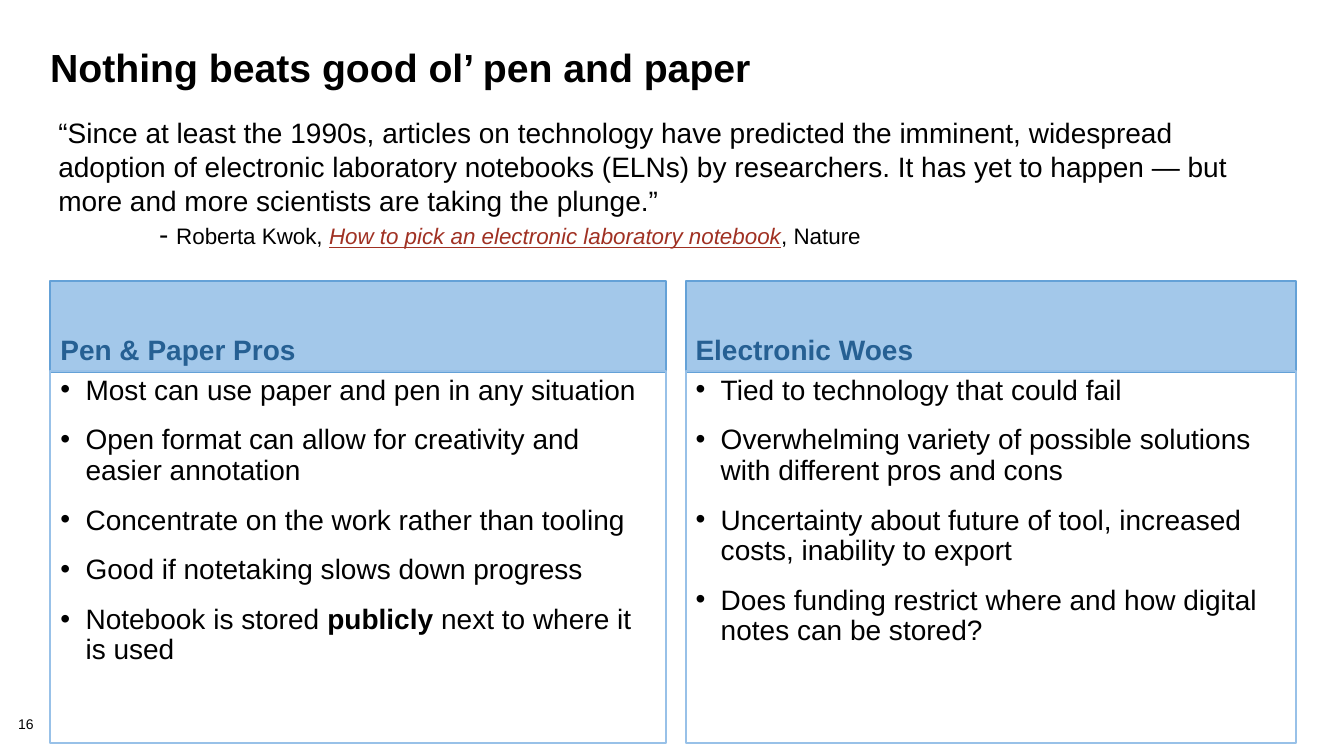
from lxml import etree
from pptx import Presentation
from pptx.dml.color import RGBColor
from pptx.enum import shapes, text
from pptx.oxml.ns import qn
from pptx.util import Inches, Pt

COLORS = {
    "text": "000000",
    "heading": "266093",
    "heading_fill": "A3C8EA",
    "heading_line": "64A1D7",
    "list_line": "98C1E8",
    "cited": "A03123",
}
QUOTE = (
    "“Since at least the 1990s, articles on technology have predicted the imminent, "
    "widespread adoption of electronic laboratory notebooks (ELNs) by researchers. "
    "It has yet to happen — but more and more scientists are taking the plunge.”"
)
# Each column: left, width, heading, bullets; a bullet is a list of (text, format) runs.
COLUMNS = [
    (0.5, 6.11, "Pen & Paper Pros", [
        [("Most can use paper and pen in any situation", {})],
        [("Open format can allow for creativity and easier annotation", {})],
        [("Concentrate on the work rather than tooling", {})],
        [("Good if notetaking slows down progress", {})],
        [("Notebook is stored ", {}), ("publicly", {"bold": True}),
         (" next to where it is used", {})],
    ]),
    (6.8, 6.05, "Electronic Woes", [
        [("Tied to technology that could fail", {})],
        [("Overwhelming variety of possible solutions with different pros and cons", {})],
        [("Uncertainty about future of tool, increased costs, inability to export", {})],
        [("Does funding restrict where and how digital notes can be stored?", {})],
    ]),
]


def add_run(p, content, size=20, color="text", bold=False, italic=False, underline=False):
    r = p.add_run()
    r.text = content
    r.font.name = "Arial"
    r.font.size = Pt(size)
    r.font.bold = bold
    r.font.italic = italic
    r.font.underline = underline
    r.font.color.rgb = RGBColor.from_string(COLORS[color])


def set_indent(p, left, first=0):
    pPr = p._p.get_or_add_pPr()
    pPr.set("marL", str(Inches(left)))
    pPr.set("indent", str(Inches(first)))
    return pPr


def set_bullet(p):
    pPr = set_indent(p, 0.25, -0.25)
    color = etree.SubElement(pPr, qn("a:buClr"))
    etree.SubElement(color, qn("a:srgbClr"), val=COLORS["text"])
    etree.SubElement(pPr, qn("a:buFont"), typeface="Arial")
    etree.SubElement(pPr, qn("a:buChar"), char="•")


class SlideBuilder:
    def __init__(self, prs):
        self.slide = prs.slides.add_slide(prs.slide_layouts[6])

    def fill_text(self, sp, paragraphs, spacing=None, before=0, bullets=False,
                  anchor=text.MSO_ANCHOR.TOP, margin=None):
        """Write paragraphs, each a list of (text, format) runs, into a shape."""
        tf = sp.text_frame
        tf.word_wrap = True
        tf.vertical_anchor = anchor
        if margin is not None:
            tf.margin_left = tf.margin_right = Inches(margin)
            tf.margin_top = tf.margin_bottom = Inches(margin)
        for i, runs in enumerate(paragraphs):
            p = tf.add_paragraph() if i else tf.paragraphs[0]
            if bullets:
                set_bullet(p)
            p.alignment = text.PP_ALIGN.LEFT
            if spacing:
                p.line_spacing = spacing
            if i and before:
                p.space_before = Pt(before)
            for content, style in runs:
                add_run(p, content, **style)
        return tf

    def textbox(self, left, top, width, height, paragraphs, **layout):
        sp = self.slide.shapes.add_textbox(
            Inches(left), Inches(top), Inches(width), Inches(height))
        return self.fill_text(sp, paragraphs, **layout)

    def panel(self, left, top, width, height, paragraphs, line, fill=None, **layout):
        sp = self.slide.shapes.add_shape(
            shapes.MSO_SHAPE.RECTANGLE,
            Inches(left), Inches(top), Inches(width), Inches(height))
        sp.shadow.inherit = False
        if fill:
            sp.fill.solid()
            sp.fill.fore_color.rgb = RGBColor.from_string(COLORS[fill])
        else:
            sp.fill.background()
        sp.line.color.rgb = RGBColor.from_string(COLORS[line])
        sp.line.width = Pt(1.5)
        return self.fill_text(sp, paragraphs, **layout)

    def column(self, left, width, heading, bullets):
        """A filled heading above an outlined bullet list."""
        self.panel(left, 2.79, width, 0.9,
                   [[(heading, {"color": "heading", "bold": True})]],
                   line="heading_line", fill="heading_fill", spacing=0.9,
                   anchor=text.MSO_ANCHOR.BOTTOM)
        self.panel(left, 3.68, width, 3.69, bullets, line="list_line",
                   spacing=0.9, before=14, bullets=True)


def main():
    prs = Presentation()
    prs.slide_width, prs.slide_height = Inches(13.33), Inches(7.5)
    s = SlideBuilder(prs)
    s.textbox(0.18, 7.12, 0.56, 0.16, [[("16", {"size": 10})]], spacing=0.9, margin=0)
    s.textbox(0.4, 0.45, 12.44, 1,
              [[("Nothing beats good ol’ pen and paper", {"size": 28, "bold": True})]],
              spacing=0.85)
    for column in COLUMNS:
        s.column(*column)
    tf = s.textbox(0.48, 1.1, 12.36, 1.45, [
        [(QUOTE, {})],
        [("- ", {}),
         ("Roberta Kwok, ", {"size": 16}),
         ("How to pick an electronic laboratory notebook",
          {"size": 16, "color": "cited", "italic": True, "underline": True}),
         (", Nature", {"size": 16})],
    ])
    set_indent(tf.paragraphs[1], 1)
    prs.save("out.pptx")


if __name__ == "__main__":
    main()
